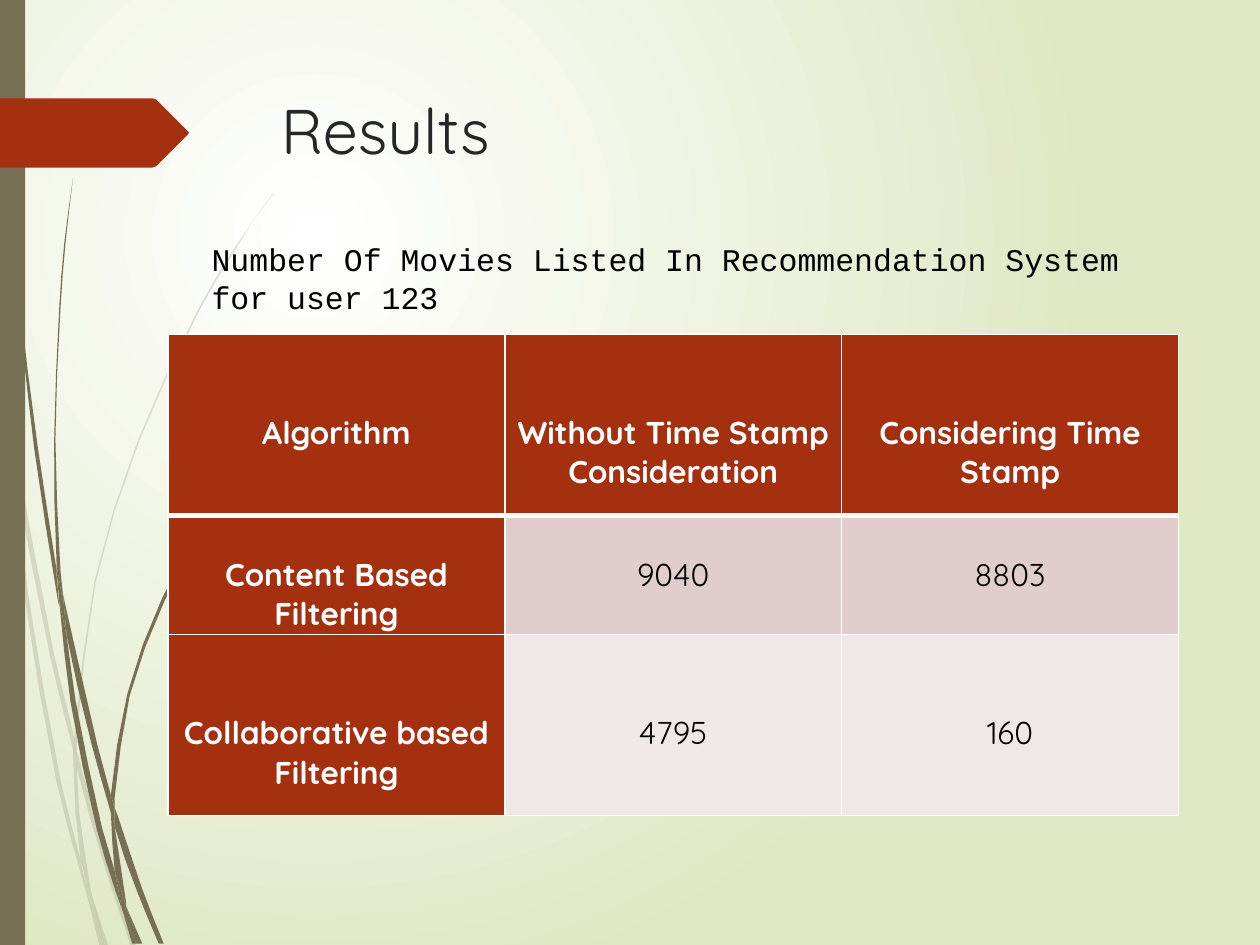
from lxml import etree
from pptx import Presentation
from pptx import util as u
from pptx.dml.color import RGBColor
from pptx.enum import shapes, text
from pptx.oxml import parse_xml
from pptx.oxml.ns import qn

COLORS = {"olive": "766F54", "rust": "A53010", "pale": "DFE8C4", "white": "FFFFFF",
          "ink": "262626", "black": "000000", "band1": "E1CDCC", "band2": "F0E8E7"}
FONT, MONO = "Quicksand", "Courier New"
GRID = 0.72   # points per unit of the outline coordinates
LINE = 22.5   # height of one 18 pt text line

# Grass outlines as x, y knots on the grid
FAINT_GRASS = [
    "8,350 6,322 0,282 0,299 7,344",
    "40,522 59,599 59,586 43,520 10,345 12,376",
    "64,607 61,596 61,610 85,694 104,751 108,751 88,692",
    "83,751 86,751 73,711",
    "64,683 48,619 22,469 12,376 8,350 19,470 45,621 64,693 70,714 69,707",
    "58,599 60,646 64,683 67,692 73,711 72,706 63,646 61,610 61,608",
    "61,584 76,462 111,349 159,245 187,198 201,175 217,154 217,153 201,175 186,197 158,244 "
    "110,348 75,461 59,584 59,586 61,596",
    "70,714 79,751 82,751",
    "61,608 61,610 61,596 59,586 58,599",
    "67,692 65,683 69,707 70,714 82,751 83,751 73,711",
]
DARK_GRASS = [
    "5,110 14,233 27,355 46,477 47,481 45,457 45,453 30,355 15,232 6,109 4,48 3,0 2,0 3,48",
    "73,592 88,645 88,633 88,631 77,590 50,472 53,505",
    "94,649 91,641 91,656 109,708 126,749 130,749 113,706",
    "91,691 81,657 60,556 53,505 47,477 56,557 77,659 92,708 97,722 96,717",
    "50,472 48,453 44,349 48,245 52,193 58,141 51,193 47,245 43,349 45,449 49,472",
    "110,749 113,749 100,719",
    "47,477 53,505 50,472 49,472 45,449 45,453",
    "91,633 103,552 131,476 169,406 191,374 203,359 216,344 215,344 203,358 191,373 168,405 "
    "129,474 101,551 88,631 91,641",
    "97,722 105,749 108,749",
    "88,645 91,691 96,706 100,719 100,716 91,656 90,651",
    "88,645 90,651 91,656 91,641 88,631 88,633",
    "96,706 91,691 96,717 97,722 108,749 110,749 100,719",
]
TAG = "0,78 121,78 124,79 149,104 150,105.5 149,107 124,132 121,133 0,133"

ROWS = [  # height, lead above the text, body fill, cells
    (103.5, 2 * LINE, "rust",
     ["Algorithm", "Without Time Stamp Consideration", "Considering Time Stamp"]),
    (68, LINE, "band1", ["Content Based Filtering", "9040", "8803"]),
    (103.5, 2 * LINE, "band2", ["Collaborative based Filtering", "4795", "160"]),
]


def rgb(name):
    return RGBColor.from_string(COLORS[name])


def knots(outline):
    return [complex(*map(float, pair.split(","))) for pair in outline.split()]


def smooth(points, longest=40):
    """Add a bent midpoint to each long side; sharp tips stay sharp."""
    n, slopes = len(points), []
    for i, p in enumerate(points):
        before, after = p - points[i - 1], points[(i + 1) % n] - p
        sharp = (before.conjugate() * after).real < 0.5 * abs(before) * abs(after)
        span = before + after
        slopes.append(0 if sharp else span / abs(span))
    curve = []
    for i, a in enumerate(points):
        j = (i + 1) % n
        side = points[j] - a
        curve.append(a)
        if abs(side) > longest:
            start, end = (slopes[k] or side / abs(side) for k in (i, j))
            curve.append(a + side / 2 + (start - end) * abs(side) / 8)
    return curve


def write(tf, words, font=FONT, size=18, color="black", bold=False,
          align=text.PP_ALIGN.LEFT):
    tf.word_wrap = True
    p = tf.paragraphs[0]
    p.alignment = align
    r = p.add_run()
    r.text = words
    r.font.name, r.font.size, r.font.bold = font, u.Pt(size), bold
    r.font.color.rgb = rgb(color)


class Deck:
    def __init__(self, width, height):
        self.prs = Presentation()
        self.prs.slide_width, self.prs.slide_height = u.Pt(width), u.Pt(height)
        self.s = self.prs.slides.add_slide(self.prs.slide_layouts[6])

    def background(self, inner, outer):
        fill = self.s.background.fill
        fill.gradient()
        for stop, name in zip(fill.gradient_stops, (inner, outer)):
            stop.color.rgb = rgb(name)
        grad = next(self.s.element.iter(qn("a:gradFill")))
        grad.remove(grad.find(qn("a:lin")))
        circle = etree.SubElement(grad, qn("a:path"), path="circle")
        etree.SubElement(circle, qn("a:fillToRect"),
                         l="50000", t="50000", r="100000", b="100000")

    def paint(self, sp, color, opacity=100):
        sp.shadow.inherit = False
        sp.fill.solid()
        sp.fill.fore_color.rgb = rgb(color)
        sp.line.fill.background()
        if opacity < 100:
            tint = next(sp.element.spPr.iter(qn("a:srgbClr")))
            etree.SubElement(tint, qn("a:alpha"), val=str(opacity * 1000))

    def rect(self, x, y, w, h, color):
        sp = self.s.shapes.add_shape(shapes.MSO_SHAPE.RECTANGLE, *map(u.Pt, (x, y, w, h)))
        self.paint(sp, color)

    def outline(self, points, color, opacity=100):
        first, *rest = [(u.Pt(p.real * GRID), u.Pt(p.imag * GRID)) for p in points]
        builder = self.s.shapes.build_freeform(*first)
        builder.add_line_segments(rest, close=True)
        self.paint(builder.convert_to_shape(), color, opacity)

    def textbox(self, x, y, w, h, words, anchor=text.MSO_ANCHOR.TOP, bottom=3.6, **style):
        tf = self.s.shapes.add_textbox(*map(u.Pt, (x, y, w, h))).text_frame
        tf.vertical_anchor, tf.margin_bottom = anchor, u.Pt(bottom)
        write(tf, words, **style)

    def border(self, cell, side, width):
        cell._tc.get_or_add_tcPr().append(parse_xml(
            '<a:ln%s xmlns:a="http://schemas.openxmlformats.org/drawingml/2006/main" w="%d">'
            '<a:solidFill><a:srgbClr val="%s"/></a:solidFill></a:ln%s>'
            % (side, u.Pt(width), COLORS["white"], side)))

    def table(self, x, y, col_width, rows):
        cols = len(rows[0][3])
        height = sum(row[0] for row in rows)
        table = self.s.shapes.add_table(
            len(rows), cols, *map(u.Pt, (x, y, col_width * cols, height))).table
        for col in table.columns:
            col.width = u.Pt(col_width)
        for i, (row_height, lead, fill, words) in enumerate(rows):
            table.rows[i].height = u.Pt(row_height)
            for j, word in enumerate(words):
                cell, head = table.cell(i, j), i == 0 or j == 0
                cell.margin_left = cell.margin_right = u.Pt(5)
                cell.margin_top, cell.margin_bottom = u.Pt(lead), 0
                for side in "LRTB":
                    self.border(cell, side, 3 if (i, side) in ((0, "B"), (1, "T")) else 1)
                cell.fill.solid()
                cell.fill.fore_color.rgb = rgb("rust" if head else fill)
                write(cell.text_frame, word, bold=head, align=text.PP_ALIGN.CENTER,
                      color="white" if head else "black")


def main():
    deck = Deck(720, 540)
    deck.background("white", "pale")

    # Grass, side bar and tag
    for grass, opacity in ((FAINT_GRASS, 20), (DARK_GRASS, 100)):
        for blade in grass:
            deck.outline(smooth(knots(blade)), "olive", opacity)
    deck.rect(0, 0, 14.4, 540, "olive")
    deck.outline(knots(TAG), "rust")

    # Title, results table and its caption
    deck.textbox(153.4, 49, 519, 101, "Results", size=36, color="ink")
    deck.table(96, 191, 192.5, ROWS)
    deck.textbox(113.8, 133.2, 566, 47.5,
                 "Number Of Movies Listed In Recommendation System for user 123",
                 anchor=text.MSO_ANCHOR.MIDDLE, bottom=0, font=MONO)
    deck.prs.save("out.pptx")


if __name__ == "__main__":
    main()
